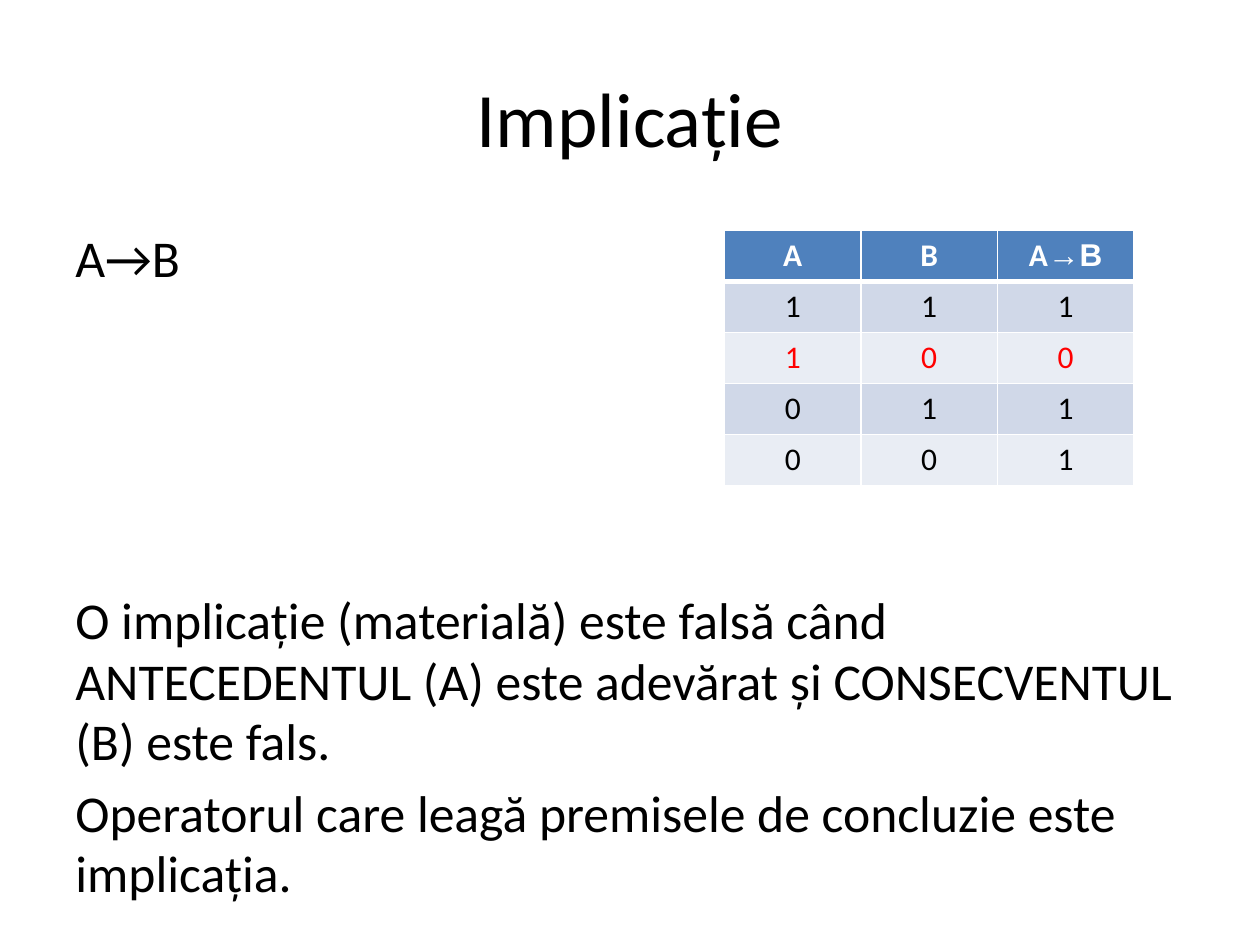
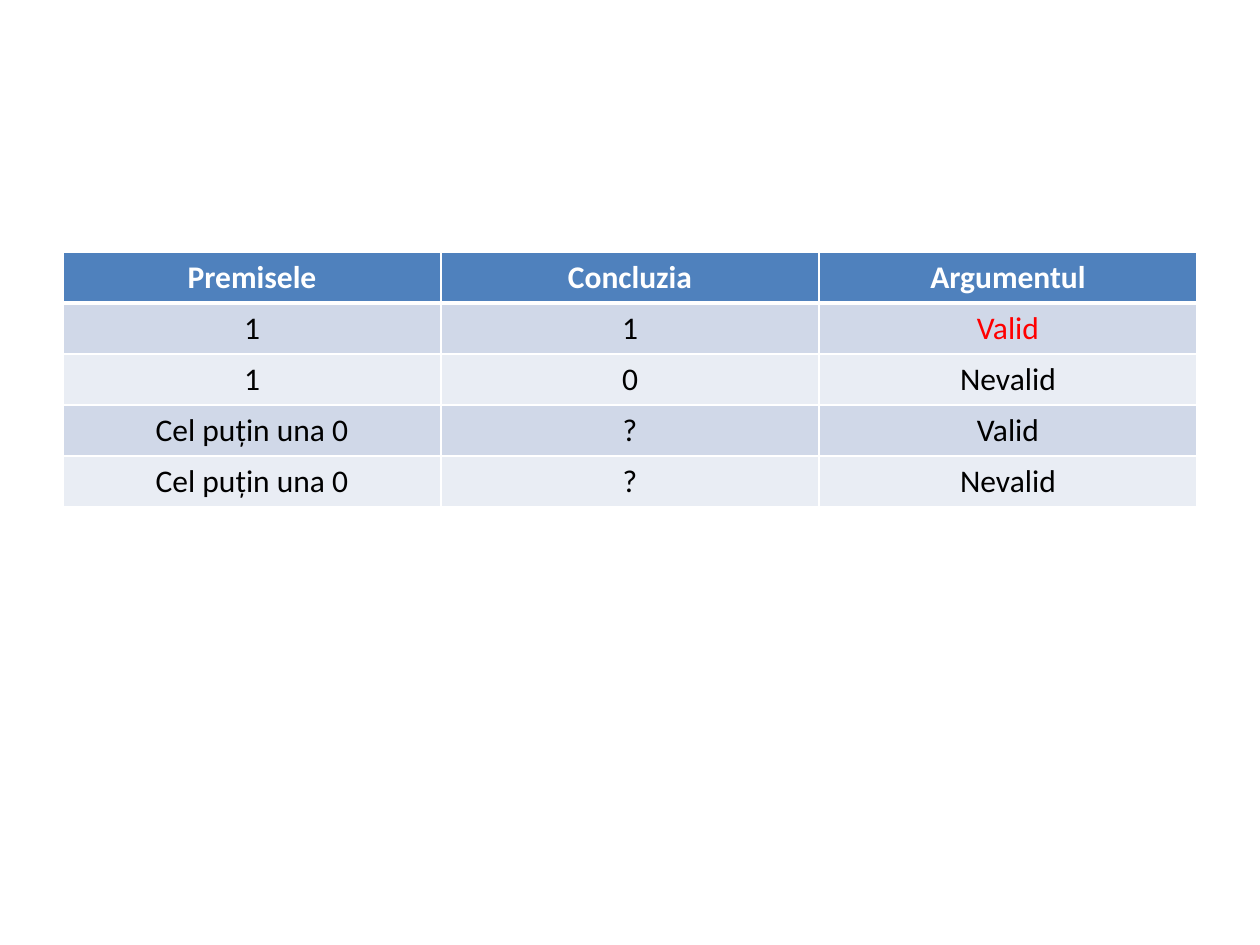
from lxml import etree
from pptx import Presentation
from pptx import util as u
from pptx.dml.color import RGBColor
from pptx.enum import text
from pptx.oxml import ns

WIDTH, HEIGHT = u.Inches(10), u.Inches(7.5)
MARGIN = 0.05
CONTENT = 1 - 2 * MARGIN
ROW_HEIGHT = u.Inches(0.405)
FONT = "Calibri"
COLORS = {
    "text": "000000",
    "highlight": "FF0000",
    "header": "4F81BD",
    "header_text": "FFFFFF",
    "border": "FFFFFF",
    "odd_row": "D0D8E8",
    "even_row": "E9EDF4",
}
TITLE_ONLY, BLANK = 5, 6


def color(name):
    return RGBColor.from_string(COLORS[name])


def across(share):
    return round(WIDTH * share)


def down(share):
    return round(HEIGHT * share)


def write(paragraph, content, size=18, fill="text", bold=False, font=FONT,
          align=text.PP_ALIGN.CENTER, before=0, line_spacing=1.0):
    paragraph.alignment = align
    paragraph.space_before = u.Pt(before)
    paragraph.line_spacing = line_spacing
    run = paragraph.add_run()
    run.text = content
    run.font.name = font
    run.font.size = u.Pt(size)
    run.font.bold = bold
    run.font.color.rgb = color(fill)


def add_title(slide, content):
    title = slide.shapes.title
    title.left, title.top = across(MARGIN), down(0.04)
    title.width, title.height = across(CONTENT), u.Inches(1.25)
    title.text_frame.vertical_anchor = text.MSO_ANCHOR.MIDDLE
    write(title.text_frame.paragraphs[0], content, size=44)


def add_body(slide, top, height, paragraphs):
    box = slide.shapes.add_textbox(across(MARGIN), top, across(CONTENT), height)
    frame = box.text_frame
    frame.word_wrap = True
    for index, (content, before) in enumerate(paragraphs):
        paragraph = frame.add_paragraph() if index else frame.paragraphs[0]
        write(paragraph, content, size=29.5, align=text.PP_ALIGN.LEFT,
              before=before, line_spacing=0.98)


def add_borders(cell, top, bottom):
    properties = cell._tc.get_or_add_tcPr()
    for side, points in (("L", 1), ("R", 1), ("T", top), ("B", bottom)):
        line = etree.SubElement(properties, ns.qn(f"a:ln{side}"), w=str(u.Pt(points)))
        fill = etree.SubElement(line, ns.qn("a:solidFill"))
        etree.SubElement(fill, ns.qn("a:srgbClr"), val=COLORS["border"])


def add_truth_table(slide, left, top, width, rows, highlighted):
    columns = len(rows[0])
    frame = slide.shapes.add_table(len(rows), columns, left, top, width,
                                   ROW_HEIGHT * len(rows))
    table = frame.table
    for column in table.columns:
        column.width = round(width / columns)
    for row_index, row in enumerate(rows):
        table.rows[row_index].height = ROW_HEIGHT
        header = row_index == 0
        row_fill = "header" if header else ("even_row", "odd_row")[row_index % 2]
        for column_index, runs in enumerate(row):
            cell = table.cell(row_index, column_index)
            add_borders(cell, top=3 if row_index == 1 else 1, bottom=3 if header else 1)
            cell.fill.solid()
            cell.fill.fore_color.rgb = color(row_fill)
            if header:
                text_fill = "header_text"
            else:
                text_fill = "highlight" if (row_index, column_index) in highlighted else "text"
            for content, font in ([(runs, FONT)] if isinstance(runs, str) else runs):
                write(cell.text_frame.paragraphs[0], content, fill=text_fill,
                      bold=header, font=font)


def build_implication(presentation):
    slide = presentation.slides.add_slide(presentation.slide_layouts[TITLE_ONLY])
    add_title(slide, "Implicație")
    add_body(slide, u.Inches(1.77), down(0.66), [
        ("A→B", 0),
        ("O implicație (materială) este falsă când ANTECEDENTUL (A) este adevărat "
         "și CONSECVENTUL (B) este fals.", 172),
        ("Operatorul care leagă premisele de concluzie este implicația.", 6),
    ])
    rows = [
        ["A", "B", [("A", FONT), ("→B", "Arial")]],
        ["1", "1", "1"],
        ["1", "0", "0"],
        ["0", "1", "1"],
        ["0", "0", "1"],
    ]
    add_truth_table(slide, across(0.575), u.Inches(1.83), across(0.325), rows,
                    {(2, column) for column in range(3)})


def build_argument(presentation):
    slide = presentation.slides.add_slide(presentation.slide_layouts[BLANK])
    rows = [
        ["Premisele", "Concluzia", "Argumentul"],
        ["1", "1", "Valid"],
        ["1", "0", "Nevalid"],
        ["Cel puțin una 0", "?", "Valid"],
        ["Cel puțin una 0", "?", "Nevalid"],
    ]
    add_truth_table(slide, across(MARGIN), u.Inches(2), across(CONTENT), rows, {(1, 2)})


def main():
    presentation = Presentation()
    presentation.slide_width, presentation.slide_height = WIDTH, HEIGHT
    build_implication(presentation)
    build_argument(presentation)
    presentation.save("out.pptx")


if __name__ == "__main__":
    main()
